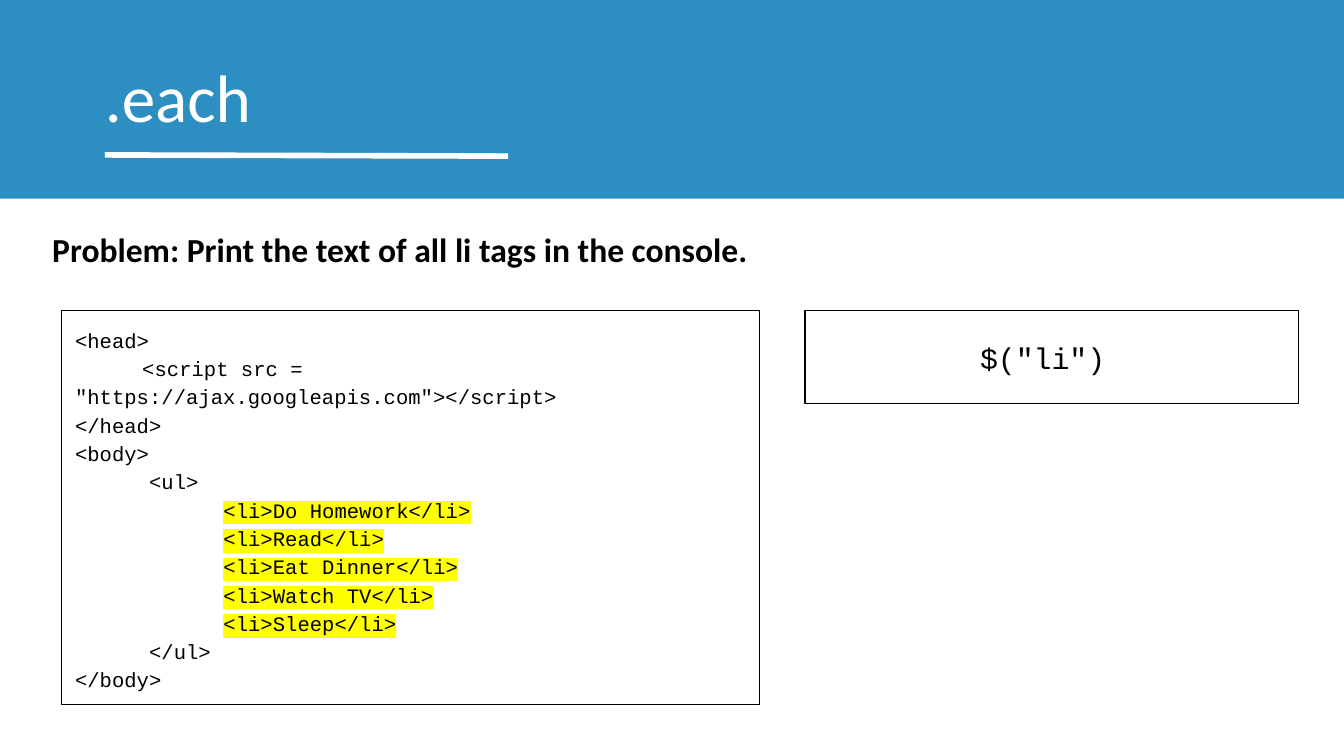
from dataclasses import dataclass

from lxml.etree import SubElement
from pptx import Presentation
from pptx.dml.color import RGBColor
from pptx.enum.shapes import MSO_CONNECTOR as Connector, MSO_SHAPE as Preset
from pptx.enum.text import MSO_ANCHOR as Anchor, MSO_AUTO_SIZE as AutoSize, PP_ALIGN as Align
from pptx.oxml.ns import qn
from pptx.util import Inches, Length, Pt

WIDTH, HEIGHT = Inches(10), Inches(5.625)


@dataclass(frozen=True)
class Theme:
    band: RGBColor = RGBColor(0x2D, 0x8E, 0xC2)
    light: RGBColor = RGBColor(255, 255, 255)
    ink: RGBColor = RGBColor(0, 0, 0)
    highlight: str = "FFFF00"
    sans: str = "Calibri"
    mono: str = "Courier New"
    title_size: Length = Pt(36)
    problem_size: Length = Pt(18)
    answer_size: Length = Pt(16)
    code_size: Length = Pt(11)
    border: Length = Pt(0.75)
    rule: Length = Pt(3)
    inset: Length = Inches(0.1)


@dataclass(frozen=True)
class Area:
    """Left, top, width and height in percent of the slide."""
    left: float
    top: float
    width: float
    height: float

    def lengths(self) -> tuple[int, int, int, int]:
        return (across(self.left), down(self.top), across(self.width), down(self.height))


@dataclass(frozen=True)
class CodeLine:
    text: str
    indent: str = ""
    marked: bool = False


@dataclass(frozen=True)
class TextStyle:
    name: str
    size: Length
    color: RGBColor
    bold: bool = False
    align: Align = Align.LEFT
    anchor: Anchor = Anchor.TOP
    spacing: float = 1.0


THEME = Theme()
TASKS = ("Do Homework", "Read", "Eat Dinner", "Watch TV", "Sleep")
STEP = " " * 6
CODE = (
    CodeLine("<head>"),
    CodeLine('<script src = "https://ajax.googleapis.com"></script>', "\t"),
    CodeLine("</head>"),
    CodeLine("<body>"),
    CodeLine("<ul>", STEP),
    *(CodeLine(f"<li>{task}</li>", STEP * 2, True) for task in TASKS),
    CodeLine("</ul>", STEP),
    CodeLine("</body>"),
)


def across(percent: float) -> int:
    return round(WIDTH * percent / 100)


def down(percent: float) -> int:
    return round(HEIGHT * percent / 100)


def write(shape, lines: tuple[CodeLine, ...], style: TextStyle) -> None:
    frame = shape.text_frame
    frame.word_wrap = True
    frame.auto_size = AutoSize.NONE
    frame.vertical_anchor = style.anchor
    frame.margin_left = frame.margin_right = THEME.inset
    frame.margin_top = frame.margin_bottom = THEME.inset
    for index, line in enumerate(lines):
        paragraph = frame.add_paragraph() if index else frame.paragraphs[0]
        paragraph.alignment = style.align
        paragraph.line_spacing = style.spacing
        font = paragraph.font
        font.name, font.size, font.bold = style.name, style.size, style.bold
        font.color.rgb = style.color
        if line.indent:
            paragraph.add_run().text = line.indent
        run = paragraph.add_run()
        run.text = line.text
        if line.marked:
            highlight = SubElement(run._r.get_or_add_rPr(), qn("a:highlight"))
            SubElement(highlight, qn("a:srgbClr"), val=THEME.highlight)


def add_band(slide, area: Area) -> None:
    band = slide.shapes.add_shape(Preset.RECTANGLE, *area.lengths())
    band.shadow.inherit = False
    band.fill.solid()
    band.fill.fore_color.rgb = THEME.band
    band.line.fill.background()


def add_underline(slide, area: Area) -> None:
    left, top, width, height = area.lengths()
    underline = slide.shapes.add_connector(
        Connector.STRAIGHT, left, top, left + width, top + height)
    underline.line.color.rgb = THEME.light
    underline.line.width = THEME.rule
    SubElement(underline.element.spPr, qn("a:effectLst"))


def set_title(slide, area: Area, text: str) -> None:
    title = slide.shapes.title
    title.left, title.top, title.width, title.height = area.lengths()
    slide.shapes.element.append(title.element)
    write(title, (CodeLine(text),), TextStyle(THEME.sans, THEME.title_size, THEME.light))


def add_panel(slide, area: Area, lines: tuple[CodeLine, ...], style: TextStyle) -> None:
    panel = slide.shapes.add_shape(Preset.RECTANGLE, *area.lengths())
    panel.shadow.inherit = False
    panel.fill.background()
    panel.line.color.rgb = THEME.ink
    panel.line.width = THEME.border
    write(panel, lines, style)


def main() -> None:
    presentation = Presentation()
    presentation.slide_width, presentation.slide_height = WIDTH, HEIGHT
    slide = presentation.slides.add_slide(presentation.slide_layouts[5])

    add_band(slide, Area(0, 0, 100, 26.3))
    add_underline(slide, Area(7.8, 20.5, 30, 0.15))
    set_title(slide, Area(6.8, 5.6, 93.2, 11.2), ".each")

    panel_top = 41.1
    add_panel(slide, Area(4.6, panel_top, 51.9, 52.1), CODE,
              TextStyle(THEME.mono, THEME.code_size, THEME.ink, spacing=1.15))
    problem = slide.shapes.add_textbox(*Area(2.9, 28.5, 92.6, 9.4).lengths())
    write(problem, (CodeLine("Problem: Print the text of all li tags in the console."),),
          TextStyle(THEME.sans, THEME.problem_size, THEME.ink, bold=True))
    add_panel(slide, Area(59.9, panel_top, 36.7, 12.3), (CodeLine('$("li") '),),
              TextStyle(THEME.mono, THEME.answer_size, THEME.ink,
                        align=Align.CENTER, anchor=Anchor.MIDDLE))

    presentation.save("out.pptx")


if __name__ == "__main__":
    main()
